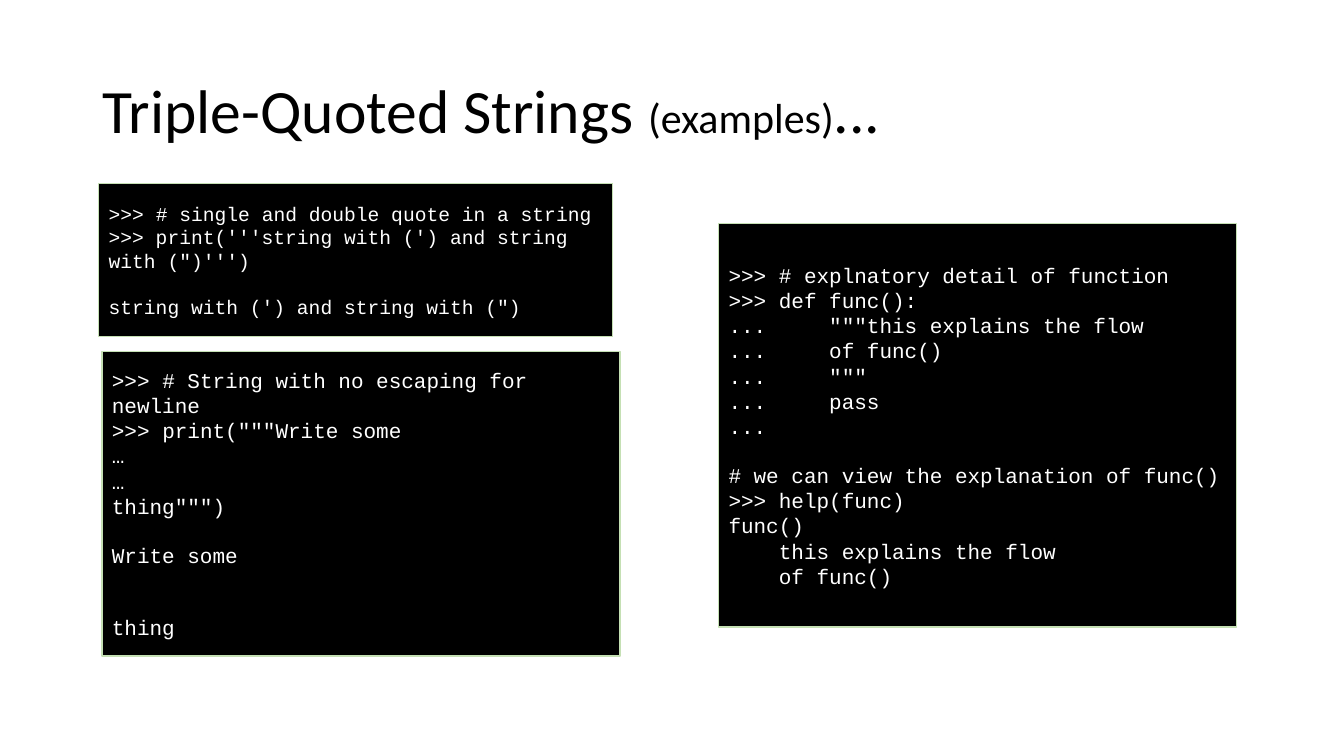
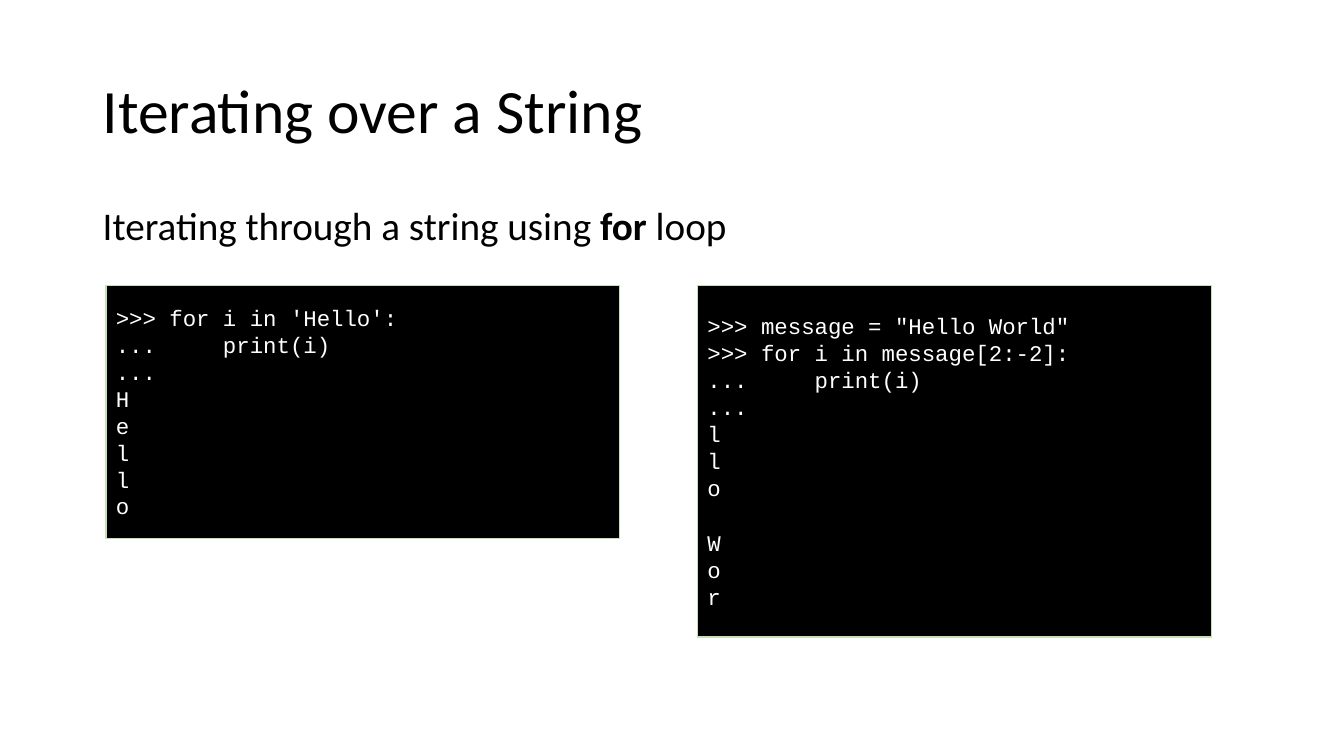
from pptx import Presentation
from pptx.dml.color import RGBColor
from pptx.enum.shapes import MSO_SHAPE
from pptx.enum.text import MSO_ANCHOR, PP_ALIGN
from pptx.util import Cm, Pt

COLORS = {"paper": "FFFFFF", "ink": "000000", "console": "000000",
          "console_text": "FFFFFF", "console_edge": "C5E0B4"}
TEXT_FONT = "Calibri"
CODE_FONT = "Courier New"
CODE_LINE_HEIGHT = 1.13
PROMPT = ">>>"
MARGIN_LEFT = 2.34
CONTENT_WIDTH = 29.21


def color(name):
    return RGBColor.from_string(COLORS[name])


def write_text(paragraph, text, *, font=TEXT_FONT, size, fill="ink", bold=False, italic=False):
    run = paragraph.add_run()
    run.text = text
    run.font.name = font
    run.font.size = Pt(size)
    run.font.bold = bold
    run.font.italic = italic
    run.font.color.rgb = color(fill)


def add_line_of_text(slide, runs, *, top, height, anchor):
    shape = slide.shapes.add_textbox(Cm(MARGIN_LEFT), Cm(top), Cm(CONTENT_WIDTH), Cm(height))
    frame = shape.text_frame
    frame.word_wrap = True
    frame.vertical_anchor = anchor
    paragraph = frame.paragraphs[0]
    paragraph.line_spacing = 0.9
    for text, style in runs:
        write_text(paragraph, text, **style)


def add_title(slide, *runs):
    add_line_of_text(slide, runs, top=1.02, height=3.68, anchor=MSO_ANCHOR.MIDDLE)


def add_body(slide, *runs):
    add_line_of_text(slide, runs, top=5.08, height=12.09, anchor=MSO_ANCHOR.TOP)


def add_console(slide, lines, *, left, top, width, height, size, gap_size=None, italic_prompts=0):
    shape = slide.shapes.add_shape(MSO_SHAPE.RECTANGLE, Cm(left), Cm(top), Cm(width), Cm(height))
    shape.shadow.inherit = False
    shape.fill.solid()
    shape.fill.fore_color.rgb = color("console")
    shape.line.color.rgb = color("console_edge")
    shape.line.width = Pt(1)
    frame = shape.text_frame
    frame.word_wrap = True
    frame.vertical_anchor = MSO_ANCHOR.MIDDLE
    style = {"font": CODE_FONT, "size": size, "fill": "console_text"}
    gap_height = (gap_size or size) * CODE_LINE_HEIGHT
    paragraph = None
    gaps = 0
    for index, line in enumerate(lines):
        if not line:
            gaps += 1
            continue
        paragraph = frame.add_paragraph() if paragraph else frame.paragraphs[0]
        paragraph.alignment = PP_ALIGN.LEFT
        paragraph.space_before = Pt(gaps * gap_height)
        gaps = 0
        if index < italic_prompts:
            write_text(paragraph, PROMPT, italic=True, **style)
            line = line.removeprefix(PROMPT)
        write_text(paragraph, line, **style)


def add_slide(presentation):
    slide = presentation.slides.add_slide(presentation.slide_layouts[6])
    slide.background.fill.solid()
    slide.background.fill.fore_color.rgb = color("paper")
    return slide


def build_triple_quotes(presentation):
    slide = add_slide(presentation)
    add_title(slide, ("Triple-Quoted Strings ", {"size": 44}),
              ("(examples)", {"size": 30}), ("...", {"size": 44}))
    add_console(slide, [
        ">>> # single and double quote in a string",
        ">>> print('''string with (') and string with (\")''')",
        "",
        "string with (') and string with (\")",
    ], left=2.49, top=4.62, width=12.95, height=3.86, size=14, italic_prompts=1)
    add_console(slide, [
        ">>> # String with no escaping for newline",
        '>>> print("""Write some',
        "…",
        "…",
        'thing""")',
        "",
        "Write some",
        "",
        "",
        "thing",
    ], left=2.57, top=8.86, width=13.06, height=7.67, size=15, italic_prompts=2)
    add_console(slide, [
        ">>> # explnatory detail of function",
        ">>> def func():",
        '...     """this explains the flow',
        "...     of func()",
        '...     """',
        "...     pass",
        "...",
        "",
        "# we can view the explanation of func()",
        ">>> help(func)",
        "func()",
        "    this explains the flow",
        "    of func()",
    ], left=18.11, top=5.64, width=13.06, height=10.16, size=15, italic_prompts=1)


def build_iteration(presentation):
    slide = add_slide(presentation)
    add_title(slide, ("Iterating over a String", {"size": 44}))
    add_body(slide, ("Iterating through a string using ", {"size": 28}),
             ("for", {"size": 28, "bold": True}), (" loop", {"size": 28}))
    shared = {"top": 7.19, "width": 12.95, "size": 16}
    add_console(slide, [
        ">>> for i in 'Hello':",
        "...     print(i)",
        "...",
        *"Hello",
    ], left=2.67, height=6.38, **shared)
    add_console(slide, [
        '>>> message = "Hello World"',
        ">>> for i in message[2:-2]:",
        "...     print(i)",
        "...",
        *"llo",
        "",
        *"Wor",
    ], left=17.58, height=8.86, gap_size=18, **shared)


def main():
    presentation = Presentation()
    presentation.slide_width = Cm(33.87)
    presentation.slide_height = Cm(19.05)
    build_triple_quotes(presentation)
    build_iteration(presentation)
    presentation.save("out.pptx")


if __name__ == "__main__":
    main()
